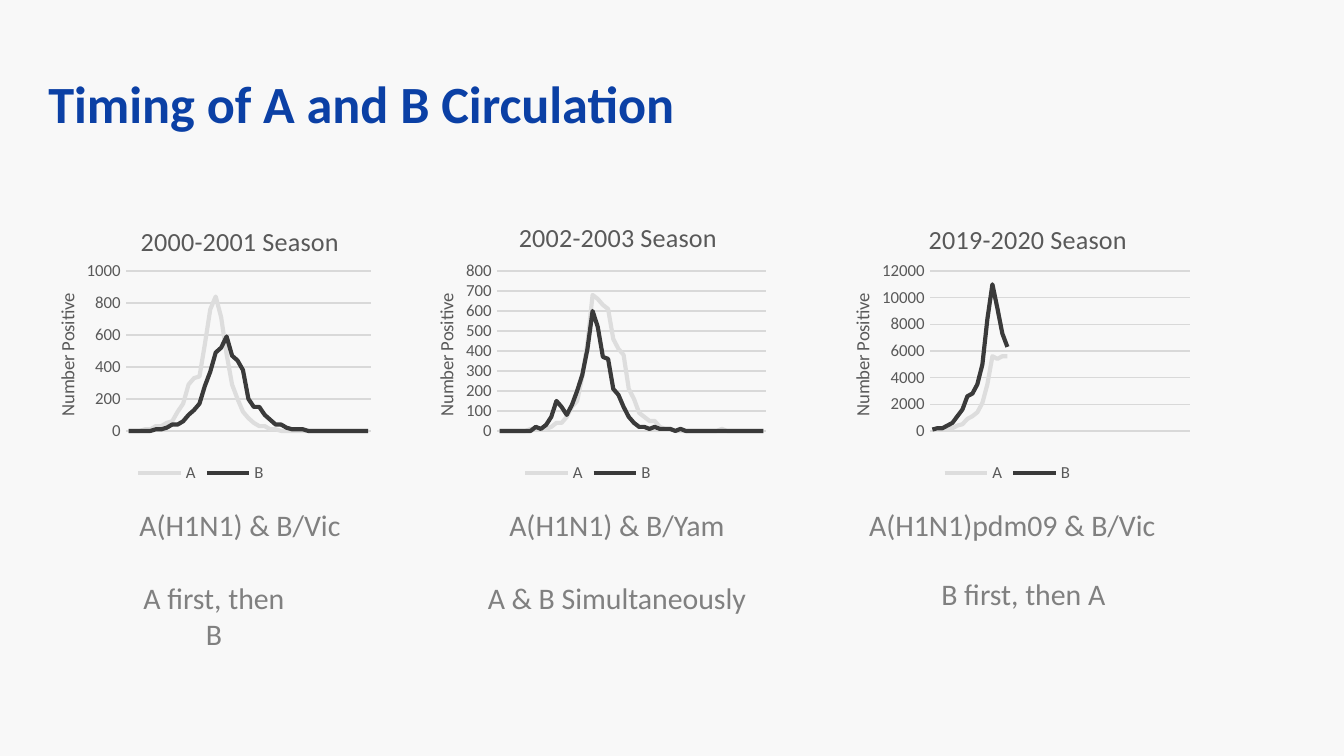
from lxml import etree
from pptx import Presentation
from pptx.chart.data import CategoryChartData
from pptx.dml.color import RGBColor
from pptx.enum.chart import XL_CHART_TYPE as ChartType, XL_LEGEND_POSITION as LegendSide, XL_TICK_MARK as Tick
from pptx.enum.text import MSO_ANCHOR as Anchor, PP_ALIGN as Align
from pptx.oxml.ns import qn
from pptx.util import Pt

PX = 6804  # EMU per px, 1344 px across 10 inches
GREY = "595959"
CHART_TOP, CHART_HEIGHT = 195, 293
PLOT_TOP, PLOT_HEIGHT = 271, 160


def write(para, text, size, color=GREY, bold=False, align=None, before=0):
    span = para.add_run()
    span.text = text
    font = span.font
    font.name, font.size, font.bold = "Calibri", Pt(size), bold
    font.color.rgb = RGBColor.from_string(color)
    para.alignment = align
    if before:
        para.space_before = Pt(before)


def place(element, index, **fractions):
    """Give a chart part a manual layout in fractions of the chart's size."""
    for old in element.findall(qn("c:layout")):
        element.remove(old)
    layout = etree.Element(qn("c:layout"))
    manual = etree.SubElement(layout, qn("c:manualLayout"))
    if "w" in fractions:
        etree.SubElement(manual, qn("c:layoutTarget")).set("val", "inner")
    for axis in "xy":
        etree.SubElement(manual, qn(f"c:{axis}Mode")).set("val", "edge")
    for name, value in fractions.items():
        etree.SubElement(manual, qn(f"c:{name}")).set("val", f"{value:.4f}")
    element.insert(index, layout)


deck = Presentation()
deck.slide_width, deck.slide_height = 1344 * PX, 756 * PX
page = deck.slides.add_slide(deck.slide_layouts[6])
page.background.fill.solid()
page.background.fill.fore_color.rgb = RGBColor.from_string("F8F8F8")

box = page.shapes.add_textbox(35 * PX, 15 * PX, 1210 * PX, 126 * PX)
box.text_frame.word_wrap = True
box.text_frame.vertical_anchor = Anchor.BOTTOM
para = box.text_frame.paragraphs[0]
para.line_spacing = Pt(30)
write(para, "Timing of A and B Circulation", 28, "0B40A5", bold=True)

seasons = [
    dict(title="2000-2001 Season", left=23, width=356, title_at=(136, 218),
         plot=(126, 245), weeks=45, top=1000, step=200,
         A=[0, 0, 0, 10, 10, 30, 30, 50, 60, 120, 170, 290, 330, 340, 540, 760, 840, 710,
            480, 290, 200, 120, 80, 50, 30, 30, 10, 10] + [0] * 17,
         B=[0, 0, 0, 0, 0, 10, 10, 20, 40, 40, 60, 100, 130, 170, 280, 370, 490, 520, 590,
            470, 440, 380, 200, 150, 150, 100, 70, 40, 40, 20, 10, 10, 10] + [0] * 12),
    dict(title="2002-2003 Season", left=402, width=372, title_at=(514, 214),
         plot=(497, 269), weeks=52, top=800, step=100,
         A=[0, 0, 0, 0, 0, 0, 10, 10, 10, 10, 20, 40, 40, 70, 120, 150, 270, 440, 680, 660,
            630, 610, 460, 410, 380, 210, 160, 90, 70, 50, 50, 20, 10, 10]
           + [0] * 9 + [10] + [0] * 8,
         B=[0, 0, 0, 0, 0, 0, 0, 20, 10, 30, 70, 150, 120, 80, 130, 200, 280, 410, 600, 520,
            370, 360, 210, 180, 120, 70, 40, 20, 20, 10, 20, 10, 10, 10, 0, 10] + [0] * 16),
    dict(title="2019-2020 Season", left=818, width=379, title_at=(924, 216),
         plot=(930, 260), weeks=52, top=12000, step=2000,
         A=[100, 100, 200, 200, 200, 400, 500, 900, 1100, 1400, 2100, 3500, 5600, 5400,
            5600, 5600] + [None] * 36,
         B=[100, 200, 200, 400, 600, 1100, 1600, 2600, 2800, 3500, 5000, 8400, 11000, 9200,
            7300, 6300] + [None] * 36),
]

for season in seasons:
    left, width = season["left"], season["width"]
    data = CategoryChartData()
    data.categories = [str(week) for week in range(1, season["weeks"] + 1)]
    for strain in "AB":
        data.add_series(strain, season[strain])
    chart = page.shapes.add_chart(ChartType.LINE, left * PX, CHART_TOP * PX,
                                  width * PX, CHART_HEIGHT * PX, data).chart
    chart.font.name, chart.font.size = "Calibri", Pt(9)
    chart.font.color.rgb = RGBColor.from_string(GREY)
    chart.plots[0].vary_by_categories = False
    for series, color in zip(chart.plots[0].series, ("DDDDDD", "3A3A3A")):
        series.smooth = False
        series.format.line.width = Pt(2.25)
        series.format.line.color.rgb = RGBColor.from_string(color)

    chart.has_legend = True
    chart.legend.position = LegendSide.BOTTOM
    chart.legend.include_in_layout = False
    chart.category_axis.visible = False
    axis = chart.value_axis
    axis.minimum_scale, axis.maximum_scale = 0, season["top"]
    axis.major_unit = season["step"]
    axis.major_tick_mark = axis.minor_tick_mark = Tick.NONE
    axis.format.line.fill.background()
    axis.major_gridlines.format.line.width = Pt(0.75)
    axis.major_gridlines.format.line.color.rgb = RGBColor.from_string("D9D9D9")

    titles = [(chart.chart_title, season["title"], 14, season["title_at"]),
              (axis.axis_title, "Number Positive", 10, (left + 29, 290))]
    for title, text, size, (x, y) in titles:
        write(title.text_frame.paragraphs[0], text, size)
        place(title._element, 1, x=(x - left) / width, y=(y - CHART_TOP) / CHART_HEIGHT)
    plot_left, plot_width = season["plot"]
    place(chart._chartSpace.chart.plotArea, 0,
          x=(plot_left - left) / width, y=(PLOT_TOP - CHART_TOP) / CHART_HEIGHT,
          w=plot_width / width, h=PLOT_HEIGHT / CHART_HEIGHT)

# left, width, strains, their alignment, timing, space before and right indent of the timing
captions = [
    (120, 240, "A(H1N1) & B/Vic", Align.CENTER, "A first, then B", 20, 52),
    (474, 286, "A(H1N1) & B/Yam", Align.CENTER, "A & B Simultaneously", 20, 0),
    (856, 335, "A(H1N1)pdm09 & B/Vic", Align.LEFT, "B first, then A", 18, 0),
]
for left, width, strains, align, timing, before, indent in captions:
    box = page.shapes.add_textbox(left * PX, 500 * PX, width * PX, 126 * PX)
    frame = box.text_frame
    frame.word_wrap = True
    write(frame.paragraphs[0], strains, 16, "808080", align=align)
    para = frame.add_paragraph()
    write(para, timing, 16, "808080", align=Align.CENTER, before=before)
    if indent:
        para._p.get_or_add_pPr().set("marR", str(indent * PX))

deck.save("out.pptx")
